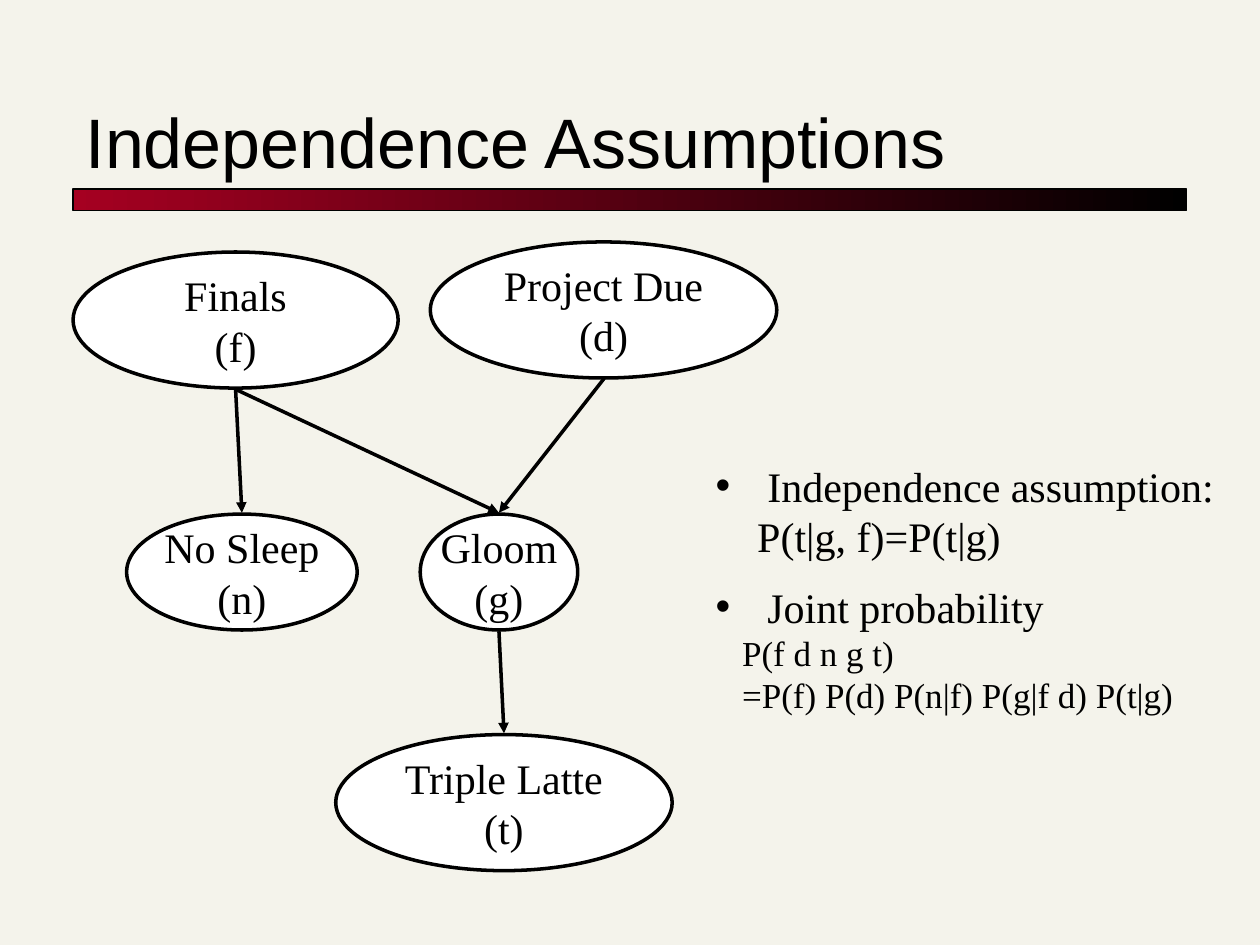
import pptx
import pptx.util
import pptx.dml.color
import pptx.enum.shapes
import pptx.enum.text
import pptx.oxml
import pptx.oxml.ns

Inches, Pt = pptx.util.Inches, pptx.util.Pt
Color = pptx.dml.color.RGBColor.from_string

THEME = {
    "background": "F4F3EB", "ink": "000000", "node": "FFFFFF", "accent": "A50021",
    "title_font": "Arial", "text_font": "Times New Roman",
    "title": 40, "text": 24, "formula": 20, "outline": 2, "hairline": 0.75,
}
TITLE = "Independence Assumptions"
# name: (label, variable, centre x, top, width, height)
NODES = {
    "gloom": ("Gloom", "(g)", 3.96, 4.08, 1.25, 0.92),
    "finals": ("Finals", "(f)", 1.87, 2.0, 2.58, 1.08),
    "project": ("Project Due", "(d)", 4.79, 1.92, 2.75, 1.08),
    "sleep": ("No Sleep", "(n)", 1.92, 4.08, 1.83, 0.92),
    "latte": ("Triple Latte", "(t)", 4.0, 5.83, 2.67, 1.08),
}
EDGES = [("finals", "sleep"), ("finals", "gloom"), ("project", "gloom"), ("gloom", "latte")]
ARROW_GAP = 0.01
# (text, size, left indent, bulleted, line spacing)
NOTES = [
    ("Independence assumption:", "text", 0.41, True, 1.0),
    ("P(t|g, f)=P(t|g)", "text", 0.33, False, 1.0),
    ("Joint probability", "text", 0.41, True, 1.4),
    ("P(f d n g t)", "formula", 0.21, False, 1.0),
    ("=P(f) P(d) P(n|f) P(g|f d) P(t|g)", "formula", 0.21, False, 1.0),
]


def place(shape, left, top, width, height):
    """Set a shape's position and size in inches."""
    shape.left, shape.top = Inches(left), Inches(top)
    shape.width, shape.height = Inches(width), Inches(height)


def add_text(para, text, font, size):
    """Add one formatted run to a paragraph."""
    span = para.add_run()
    span.text = text
    span.font.name = THEME[font]
    span.font.size = Pt(THEME[size])
    span.font.color.rgb = Color(THEME["ink"])


def set_line(line, weight):
    """Give a line the ink colour and a theme weight."""
    line.color.rgb = Color(THEME["ink"])
    line.width = Pt(THEME[weight])


def add_element(parent, tag, **attributes):
    """Append a DrawingML element with the given attributes."""
    element = pptx.oxml.parse_xml(f"<a:{tag} {pptx.oxml.ns.nsdecls('a')}/>")
    for name, value in attributes.items():
        element.set(name, value)
    parent.append(element)


def add_title(page):
    """Fill the title and draw the gradient bar under it."""
    bar = page.shapes.add_shape(
        pptx.enum.shapes.MSO_SHAPE.RECTANGLE,
        Inches(0.58), Inches(1.5), Inches(8.84), Inches(0.17))
    bar.shadow.inherit = False
    bar.fill.gradient()
    bar.fill.gradient_angle = 0
    for stop, color, position in zip(bar.fill.gradient_stops, ("accent", "ink"), (0, 1)):
        stop.color.rgb = Color(THEME[color])
        stop.position = position
    set_line(bar.line, "hairline")

    title = page.shapes.title
    place(title, 0.58, 0.42, 8.83, 1.08)
    frame = title.text_frame
    frame.auto_size = pptx.enum.text.MSO_AUTO_SIZE.NONE
    frame.vertical_anchor = pptx.enum.text.MSO_ANCHOR.BOTTOM
    para = frame.paragraphs[0]
    para.alignment = pptx.enum.text.PP_ALIGN.LEFT
    add_text(para, TITLE, "title_font", "title")


def add_notes(page):
    """Fill the body placeholder with bullets and formulas."""
    body = page.placeholders[1]
    place(body, 5.58, 3.6, 4.17, 2.13)
    frame = body.text_frame
    frame.auto_size = pptx.enum.text.MSO_AUTO_SIZE.NONE
    frame.vertical_anchor = pptx.enum.text.MSO_ANCHOR.MIDDLE
    frame.word_wrap = True
    frame.margin_right = 0
    for index, (text, size, indent, bulleted, spacing) in enumerate(NOTES):
        para = frame.add_paragraph() if index else frame.paragraphs[0]
        para.space_before = Pt(0)
        para.line_spacing = spacing
        properties = para._p.get_or_add_pPr()
        properties.set("marL", str(Inches(indent)))
        properties.set("indent", str(-Inches(indent) if bulleted else 0))
        if bulleted:
            add_element(properties, "buChar", char="•")
        else:
            add_element(properties, "buNone")
        add_text(para, text, "text_font", size)


def add_node(page, label, variable, center, top, width, height):
    """Draw one variable of the network as an ellipse."""
    node = page.shapes.add_shape(
        pptx.enum.shapes.MSO_SHAPE.OVAL,
        Inches(center - width / 2), Inches(top), Inches(width), Inches(height))
    node.shadow.inherit = False
    node.fill.solid()
    node.fill.fore_color.rgb = Color(THEME["node"])
    set_line(node.line, "outline")
    frame = node.text_frame
    frame.word_wrap = False
    frame.vertical_anchor = pptx.enum.text.MSO_ANCHOR.MIDDLE
    for para, text in ((frame.paragraphs[0], label), (frame.add_paragraph(), variable)):
        para.alignment = pptx.enum.text.PP_ALIGN.CENTER
        add_text(para, text, "text_font", "text")


def add_edge(page, parent, child):
    """Draw an arrow from the bottom of a parent to the top of its child."""
    _, _, start, top, _, height = NODES[parent]
    _, _, end, child_top, _, _ = NODES[child]
    arrow = page.shapes.add_connector(
        pptx.enum.shapes.MSO_CONNECTOR.STRAIGHT,
        Inches(start), Inches(top + height + ARROW_GAP),
        Inches(end), Inches(child_top - ARROW_GAP))
    set_line(arrow.line, "outline")
    add_element(arrow.line._get_or_add_ln(), "tailEnd", type="triangle")
    add_element(arrow._element.spPr, "effectLst")


deck = pptx.Presentation()
deck.slide_width, deck.slide_height = Inches(10), Inches(7.5)
page = deck.slides.add_slide(deck.slide_layouts[1])
page.background.fill.solid()
page.background.fill.fore_color.rgb = Color(THEME["background"])
add_title(page)
add_notes(page)
for node in NODES.values():
    add_node(page, *node)
for edge in EDGES:
    add_edge(page, *edge)
deck.save("out.pptx")
